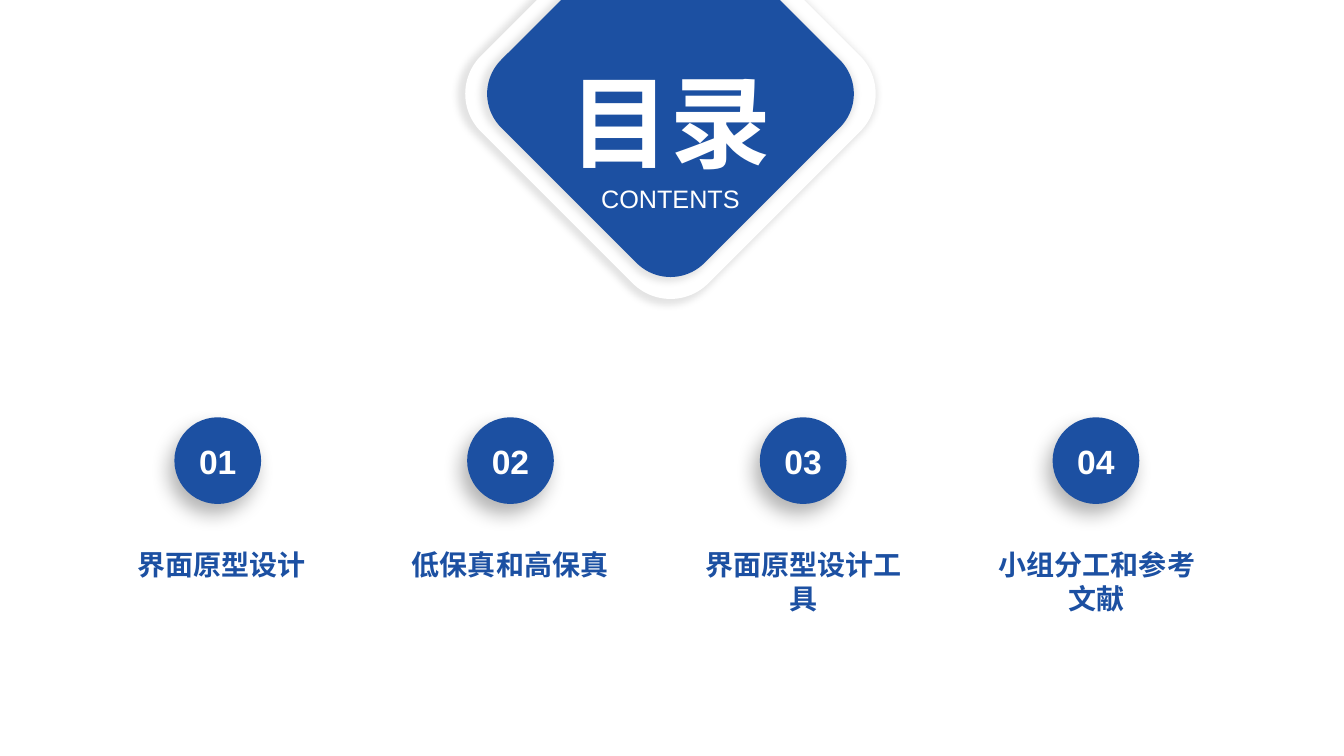
from lxml import etree
from pptx import Presentation
from pptx.dml.color import RGBColor
from pptx.enum.shapes import MSO_SHAPE as SHAPE
from pptx.enum.text import MSO_ANCHOR as ANCHOR, MSO_AUTO_SIZE as AUTO, PP_ALIGN as ALIGN
from pptx.oxml.ns import qn
from pptx.util import Inches, Pt

BLUE = RGBColor(0x1C, 0x50, 0xA2)
WHITE = RGBColor(0xFF, 0xFF, 0xFF)

TITLE, SUBTITLE = "目录", "CONTENTS"
SECTIONS = [
    ("01", "界面原型设计", 1.05, 0.41),
    ("02", "低保真和高保真", 3.91, 0.41),
    ("03", "界面原型设计工具", 6.82, 0.75),
    ("04", "小组分工和参考文献", 9.73, 0.75),
]
DIAMONDS = [(3.19, WHITE), (2.85, BLUE)]
DIAMOND_CENTER = (6.65, 0.93)
CIRCLE_LEFT, CIRCLE_TOP, CIRCLE_SIZE = 1.73, 4.14, 0.86
CIRCLE_PITCH = (10.44 - CIRCLE_LEFT) / 3
LABEL_TOP, LABEL_WIDTH = 5.39, 2.3

SOFT_SHADOW = dict(alpha=11, blurRad=Pt(5), sx=102000, sy=102000, algn="ctr")
DROP_SHADOW = dict(alpha=30, blurRad=Pt(14), dist=Pt(8), dir=120 * 60000, algn="ctr")


def add_shadow(sp, alpha, **attrs):
    sp.shadow.inherit = False
    effects = sp._element.spPr.find(qn("a:effectLst"))
    outer = etree.SubElement(effects, qn("a:outerShdw"), rotWithShape="0")
    for name, value in attrs.items():
        outer.set(name, str(value))
    color = etree.SubElement(outer, qn("a:srgbClr"), val="000000")
    etree.SubElement(color, qn("a:alpha"), val=str(alpha * 1000))


def add_solid(slide, kind, box, fill, shadow):
    sp = slide.shapes.add_shape(kind, *map(Inches, box))
    sp.fill.solid()
    sp.fill.fore_color.rgb = fill
    sp.line.fill.background()
    add_shadow(sp, **shadow)
    return sp


def write_text(sp, text, size, font="Arial", color=WHITE, bold=False):
    tf = sp.text_frame
    tf.word_wrap = True
    p = tf.paragraphs[0]
    p.alignment = ALIGN.CENTER
    r = p.add_run()
    r.text = text
    r.font.size = Pt(size)
    r.font.name = font
    r.font.bold = bold
    r.font.color.rgb = color
    return tf


def add_text(slide, box, text, **style):
    sp = slide.shapes.add_textbox(*map(Inches, box))
    tf = write_text(sp, text, **style)
    tf.auto_size = AUTO.SHAPE_TO_FIT_TEXT
    return tf


def main():
    prs = Presentation()
    prs.slide_width, prs.slide_height = Inches(13.33), Inches(7.5)
    slide = prs.slides.add_slide(prs.slide_layouts[6])

    cx, cy = DIAMOND_CENTER
    for size, fill in DIAMONDS:
        box = (cx - size / 2, cy - size / 2, size, size)
        sp = add_solid(slide, SHAPE.ROUNDED_RECTANGLE, box, fill, SOFT_SHADOW)
        sp.rotation = 45

    add_text(slide, (4.75, 0.54, 3.8, 1.31), TITLE, size=72, font="Calibri", bold=True)
    add_text(slide, (4.75, 1.77, 3.8, 0.4), SUBTITLE, size=18)

    for i, (number, _, _, _) in enumerate(SECTIONS):
        box = (CIRCLE_LEFT + i * CIRCLE_PITCH, CIRCLE_TOP, CIRCLE_SIZE, CIRCLE_SIZE)
        sp = add_solid(slide, SHAPE.OVAL, box, BLUE, DROP_SHADOW)
        tf = write_text(sp, number, size=24, bold=True)
        tf.vertical_anchor = ANCHOR.MIDDLE

    for _, label, left, height in SECTIONS:
        box = (left, LABEL_TOP, LABEL_WIDTH, height)
        tf = add_text(slide, box, label, size=20, font="Calibri", color=BLUE, bold=True)
        tf.margin_left = tf.margin_right = Inches(0.07)
        tf.margin_top = tf.margin_bottom = Inches(0.04)

    prs.save("out.pptx")


if __name__ == "__main__":
    main()
